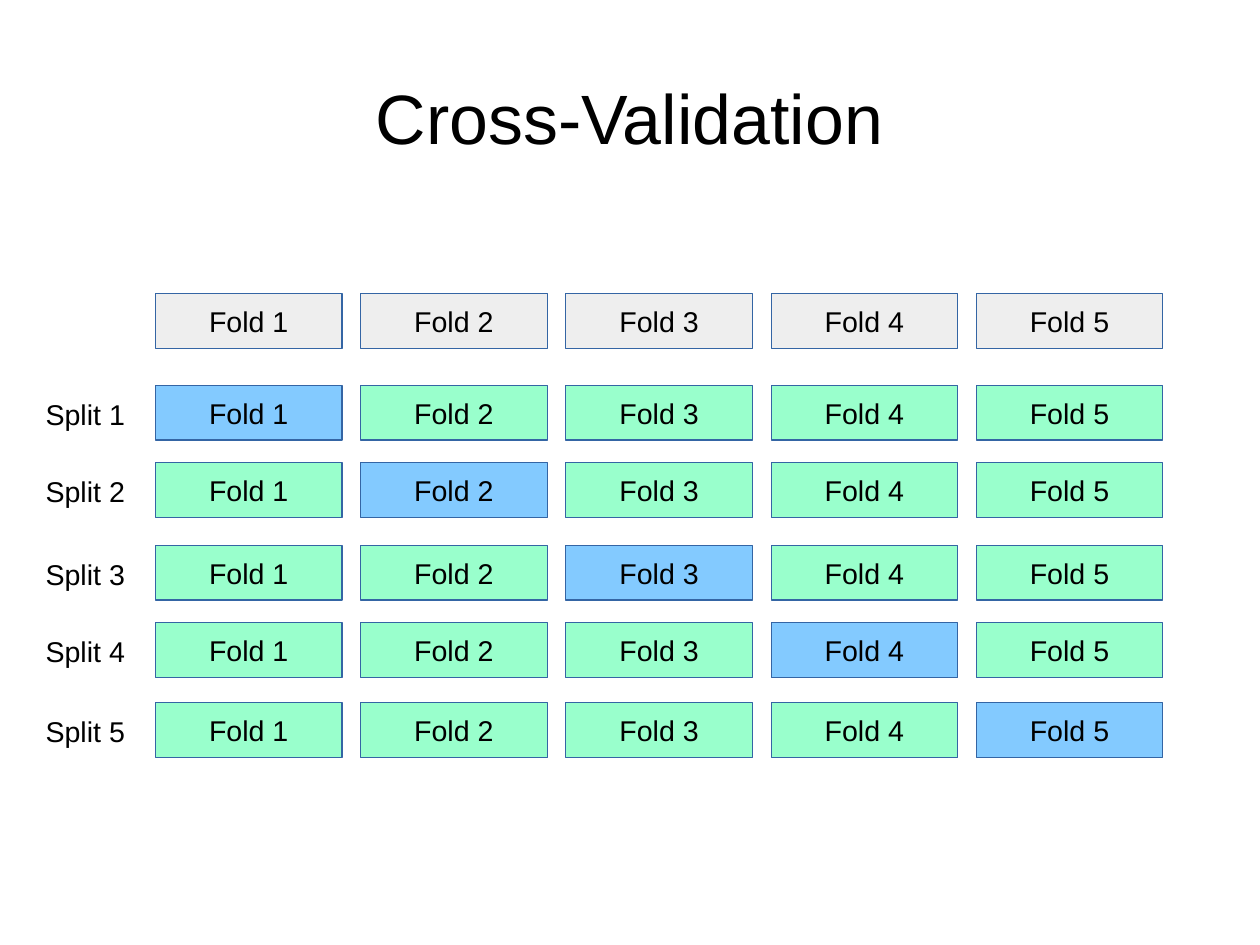
from pptx import Presentation
from pptx import util as u
from pptx.dml.color import RGBColor
from pptx.enum import shapes, text

COLORS = {
    "text": "000000",
    "border": "3465A4",
    "header": "EEEEEE",
    "train": "99FFCC",
    "test": "83CAFF",
}
FONT = "Arial"
FOLDS = 5
FOLD_LEFT, FOLD_PITCH = 97.9, 129.25
FOLD_WIDTH, FOLD_HEIGHT = 117.5, 34.6
HEADER_TOP = 184.8
SPLIT_TOPS = [242.6, 291.4, 343.4, 392.4, 442.6]
LABEL_LEFT, LABEL_DROP = 21.6, 3.6
LABEL_WIDTH, LABEL_HEIGHT = 65.5, 27.4


def rgb(name):
    return RGBColor.from_string(COLORS[name])


def write(tf, content, size, align):
    tf.text = content
    p = tf.paragraphs[0]
    p.alignment = align
    r = p.runs[0]
    r.font.name = FONT
    r.font.size = u.Pt(size)
    r.font.color.rgb = rgb("text")


def add_title(s, content):
    sp = s.shapes.title
    sp.left, sp.top = u.Pt(39.6), u.Pt(23.8)
    sp.width, sp.height = u.Pt(714.2), u.Pt(99.4)
    tf = sp.text_frame
    tf.margin_left = tf.margin_right = tf.margin_top = tf.margin_bottom = u.Pt(0)
    tf.vertical_anchor = text.MSO_ANCHOR.MIDDLE
    write(tf, content, 44, text.PP_ALIGN.CENTER)


def add_fold(s, fold, top, color):
    left = FOLD_LEFT + (fold - 1) * FOLD_PITCH
    sp = s.shapes.add_shape(shapes.MSO_SHAPE.RECTANGLE, u.Pt(left), u.Pt(top),
                            u.Pt(FOLD_WIDTH), u.Pt(FOLD_HEIGHT))
    sp.shadow.inherit = False
    sp.fill.solid()
    sp.fill.fore_color.rgb = rgb(color)
    sp.line.color.rgb = rgb("border")
    sp.line.width = u.Pt(0)
    tf = sp.text_frame
    tf.word_wrap = False
    tf.vertical_anchor = text.MSO_ANCHOR.MIDDLE
    write(tf, f"Fold {fold}", 18, text.PP_ALIGN.CENTER)


def add_split_label(s, split, top):
    sp = s.shapes.add_textbox(u.Pt(LABEL_LEFT), u.Pt(top + LABEL_DROP),
                              u.Pt(LABEL_WIDTH), u.Pt(LABEL_HEIGHT))
    tf = sp.text_frame
    tf.word_wrap = True
    tf.auto_size = text.MSO_AUTO_SIZE.SHAPE_TO_FIT_TEXT
    write(tf, f"Split {split}", 18, text.PP_ALIGN.LEFT)


def main():
    prs = Presentation()
    prs.slide_width, prs.slide_height = u.Pt(793.6), u.Pt(595.3)
    s = prs.slides.add_slide(prs.slide_layouts[5])
    add_title(s, "Cross-Validation")
    for fold in range(1, FOLDS + 1):
        add_fold(s, fold, HEADER_TOP, "header")
    for split, top in enumerate(SPLIT_TOPS, start=1):
        add_split_label(s, split, top)
        for fold in range(1, FOLDS + 1):
            add_fold(s, fold, top, "test" if fold == split else "train")
    prs.save("out.pptx")


if __name__ == "__main__":
    main()
